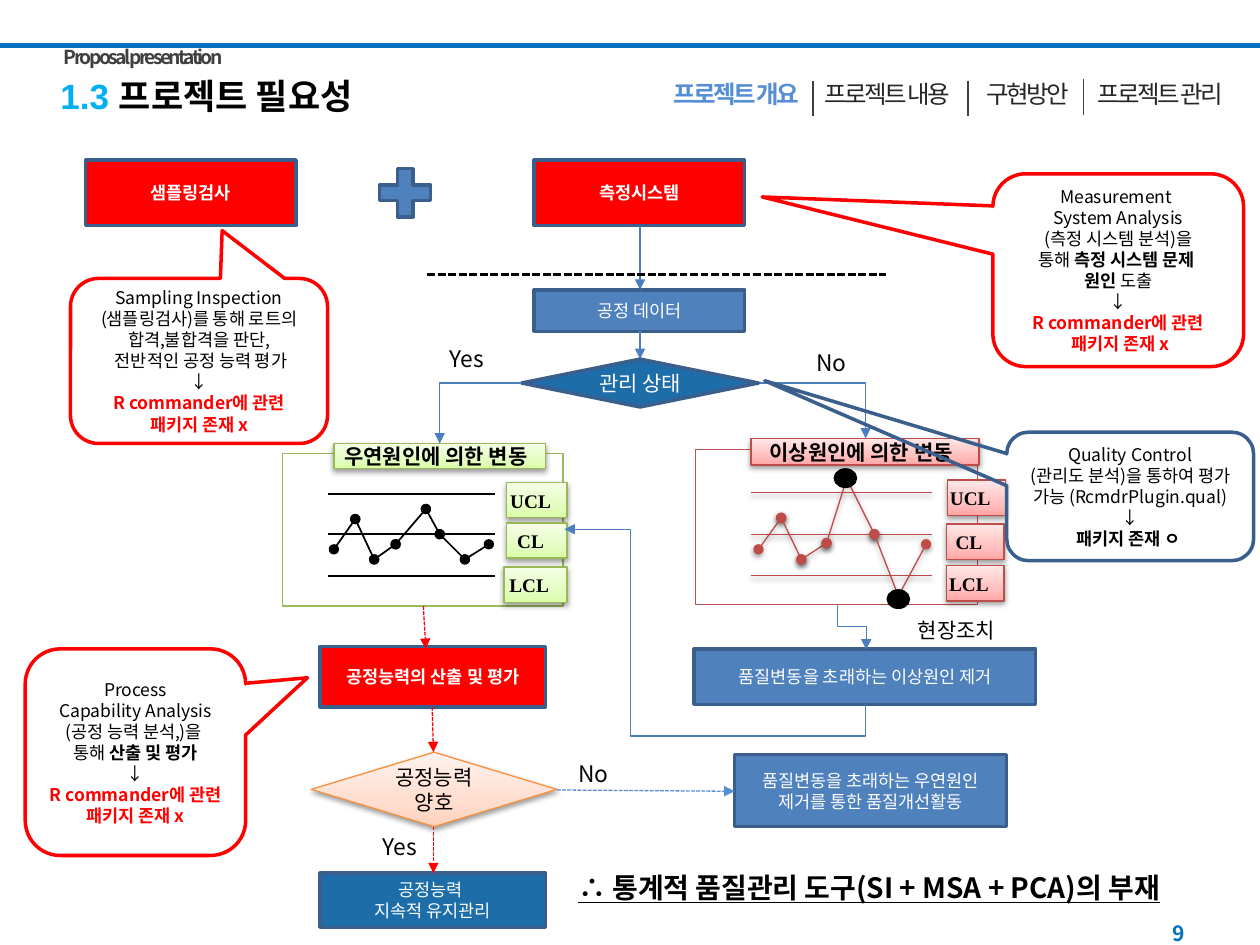
from itertools import pairwise

from pptx import Presentation
from pptx.dml.color import RGBColor
from pptx.enum.dml import MSO_LINE
from pptx.enum.shapes import MSO_CONNECTOR, MSO_SHAPE
from pptx.enum.text import MSO_ANCHOR, PP_ALIGN
from pptx.oxml import parse_xml
from pptx.oxml.ns import nsdecls, qn
from pptx.oxml.xmlchemy import OxmlElement
from pptx.util import Cm, Pt

LEFT, CENTER, RIGHT, JUSTIFY = PP_ALIGN.LEFT, PP_ALIGN.CENTER, PP_ALIGN.RIGHT, PP_ALIGN.JUSTIFY
TOP, MIDDLE = MSO_ANCHOR.TOP, MSO_ANCHOR.MIDDLE
STRAIGHT, ELBOW = MSO_CONNECTOR.STRAIGHT, MSO_CONNECTOR.ELBOW
PROCESS, DECISION = MSO_SHAPE.FLOWCHART_PROCESS, MSO_SHAPE.FLOWCHART_DECISION
RECT, OVAL, PLUS = MSO_SHAPE.RECTANGLE, MSO_SHAPE.OVAL, MSO_SHAPE.MATH_PLUS
CALLOUT = MSO_SHAPE.ROUNDED_RECTANGULAR_CALLOUT
DASH = MSO_LINE.SQUARE_DOT

KR, SERIF = "Noto Sans CJK KR", "Times New Roman"
C = {"rule": "0070C0", "sky": "00B0F0", "tab": "558ED5", "gray": "404040", "ink": "262626",
     "black": "000000", "white": "FFFFFF", "red": "FF0000", "blue": "4F81BD", "deep": "1D6DA9",
     "edge": "3A5F8C", "arrow": "4B7EBC", "orange": "F69240", "green": "98B955", "rose": "BF4C48",
     "green frame": "9BBB59", "rose frame": "C0504D"}
GRADIENTS = {"green": ("DAFDA7", "E4FCC2", "F5FFE7"), "rose": ("FFA6A5", "FFC0BF", "FFE7E7"),
             "orange": ("FFD2BD", "FFDED0", "FFF2ED")}


def inch(v):
    return Cm(v * 2.54)


def rgb(name):
    return RGBColor.from_string(C[name])


class Deck:
    """Style and current slide; positions are in inches."""

    def __init__(self, s):
        self.s = s

    def fill_text(self, tf, paras, size=10, color="black", bold=False, font=KR, al=CENTER,
                  anchor=MIDDLE, wrap=True, spc=None, underline=None, before=None):
        """A run that starts with * is bold, with ! bold and red."""
        tf.word_wrap, tf.vertical_anchor = wrap, anchor
        for i, runs in enumerate(paras):
            p = tf.add_paragraph() if i else tf.paragraphs[0]
            p.alignment = al
            if before:
                p.space_before = before
            f = p.font
            f.size, f.bold, f.name, f.underline = Pt(size), bold, font, underline
            f.color.rgb = rgb(color)
            props = p._p.pPr.find(qn("a:defRPr"))
            ea = OxmlElement("a:ea")
            ea.set("typeface", KR)
            props.append(ea)
            if spc:
                props.set("spc", str(spc))
            for text in [runs] if isinstance(runs, str) else runs:
                r = p.add_run()
                r.text = text.lstrip("*!")
                if text[0] in "*!":
                    r.font.bold = True
                if text[0] == "!":
                    r.font.color.rgb = rgb("red")

    def text(self, box, text, **style):
        tf = self.s.shapes.add_textbox(*map(inch, box)).text_frame
        self.fill_text(tf, [text], **{"al": LEFT, "anchor": TOP, **style})

    def shadow(self, sp, visible):
        effects = OxmlElement("a:effectLst")
        if visible:
            effects.append(parse_xml(
                f'<a:outerShdw {nsdecls("a")} blurRad="40000" dist="20000" dir="5400000" '
                'rotWithShape="0"><a:srgbClr val="000000"><a:alpha val="38000"/></a:srgbClr>'
                '</a:outerShdw>'))
        sp._element.spPr.append(effects)

    def shape(self, kind, box, paras=(), fill=None, line="edge", width=2, grad=None, adj=(),
              inset=False, **style):
        sp = self.s.shapes.add_shape(kind, *map(inch, box))
        for i, v in enumerate(adj):
            sp.adjustments[i] = v
        sp.line.color.rgb, sp.line.width = rgb(line), Pt(width)
        if fill:
            sp.fill.solid()
            sp.fill.fore_color.rgb = rgb(fill)
        else:
            sp.fill.background()
        if grad:
            stops = "".join(f'<a:gs pos="{pos}"><a:srgbClr val="{c}"/></a:gs>'
                            for pos, c in zip((0, 35000, 100000), GRADIENTS[grad]))
            spPr = sp._element.spPr
            spPr.replace(spPr.find(qn("a:noFill")), parse_xml(
                f'<a:gradFill {nsdecls("a")} rotWithShape="1"><a:gsLst>{stops}</a:gsLst>'
                '<a:lin ang="16200000" scaled="0"/></a:gradFill>'))
        self.shadow(sp, grad)
        if inset:
            sp.text_frame.margin_left = 0
        if paras:
            self.fill_text(sp.text_frame, paras, **style)

    def line(self, x1, y1, x2, y2, color="arrow", width=0.75, head=None, tail=None, dash=False,
             shadow=False, kind=STRAIGHT):
        c = self.s.shapes.add_connector(kind, *map(inch, (x1, y1, x2, y2)))
        c.line.color.rgb, c.line.width = rgb(color), Pt(width)
        if dash:
            c.line.dash_style = DASH
        for tag, end in (("a:headEnd", head), ("a:tailEnd", tail)):
            if end:
                e = OxmlElement(tag)
                e.set("type", end)
                c._element.spPr.find(qn("a:ln")).append(e)
        self.shadow(c, shadow)
        return c

    def elbow(self, x, y, w, h, rot, flip, bends, adj=()):
        c = self.line(x, y, x + w, y + h, tail="triangle", kind=ELBOW)
        xfrm, geom = c._element.spPr.find(qn("a:xfrm")), c._element.spPr.find(qn("a:prstGeom"))
        xfrm.set("rot", str(rot * 60000))
        if flip:
            xfrm.set(flip, "1")
        geom.set("prst", f"bentConnector{bends}")
        for i, v in enumerate(adj, 1):
            gd = OxmlElement("a:gd")
            gd.set("name", f"adj{i}")
            gd.set("fmla", f"val {round(v * 100000)}")
            geom.find(qn("a:avLst")).append(gd)

    def control_chart(self, tone, ink, width, frame, limits, points, tags, header, title):
        stroke = {"color": ink, "width": width, "shadow": ink != "black"}
        label = {"grad": tone, "line": tone, "width": 0.75, "inset": True, "bold": True,
                 "font": SERIF}
        self.shape(RECT, frame, line=f"{tone} frame", width=0.75)
        for y in limits[2:]:
            self.line(limits[0], y, limits[1], y, **stroke)
        for a, b in pairwise(points):
            self.line(*a, *b, head="oval", tail="oval", **stroke)
        for name, box in zip(("UCL", "CL", "LCL"), tags):
            self.shape(RECT, box, [name], size=11, anchor=TOP, before=Pt(5.5), **label)
        self.shape(RECT, header, [title], size=12, wrap=False, **label)


prs = Presentation()
prs.slide_width, prs.slide_height = inch(10), inch(7.5)
s = prs.slides.add_slide(prs.slide_layouts[5])
d = Deck(s)

# Header, title and section tabs
d.line(-0.02, 0.36, 10.02, 0.36, color="rule", width=3)
title = s.shapes.title
title.left, title.top, title.width, title.height = map(inch, (0.38, 0.54, 4.7, 0.44))
d.fill_text(title.text_frame, [("1.3 ", "프로젝트 필요성")], size=20, bold=True, font="Arial",
            al=LEFT, anchor=TOP)
title.text_frame.paragraphs[0].runs[0].font.color.rgb = rgb("sky")
d.text((0.41, 0.31, 2.44, 0.29), "Proposal presentation", size=11, color="gray", bold=True,
       al=JUSTIFY, spc=-150)
for i, (x, w, name) in enumerate([(5, 1.69, "프로젝트 개요"), (6.36, 1.34, " 프로젝트 내용"),
                                  (7.62, 1.07, "구현방안"), (8.56, 1.3, "프로젝트 관리")]):
    d.text((x, 0.58, w, 0.39), name, size=14, color="ink" if i else "tab", bold=not i,
           al=CENTER, wrap=not i, spc=-150)
for x, y in ((6.45, 0.64), (7.68, 0.64), (8.6, 0.63)):
    d.line(x, y, x, y + 0.28, color="gray", width=1)

# Process boxes
for box, fill, paras in [
        ((0.68, 1.27, 1.67, 0.52), "red", ["샘플링검사"]),
        ((4.24, 1.27, 1.67, 0.52), "red", ["측정시스템"]),
        ((4.24, 2.3, 1.67, 0.33), "blue", ["공정 데이터"]),
        ((2.54, 5.13, 1.79, 0.48), "red", ["공정능력의 산출 및 평가"]),
        ((5.51, 5.15, 2.71, 0.44), "blue", ["품질변동을 초래하는 이상원인 제거"]),
        ((5.83, 5.99, 2.16, 0.57), "blue", ["품질변동을 초래하는 우연원인 제거를 통한 품질개선활동"]),
        ((2.54, 6.93, 1.79, 0.43), "deep", ["공정능력 ", "지속적 유지관리"])]:
    d.shape(PROCESS, box, paras, fill=fill, color="white", bold=fill == "red")
d.shape(PLUS, (2.94, 1.27, 0.55, 0.52), fill="blue")

# Control charts
d.control_chart(
    "green", "black", 1, (2.24, 3.6, 2.23, 1.21), (2.6, 3.93, 3.92, 4.24, 4.57),
    [(2.65, 4.36), (2.82, 4.12), (2.97, 4.44), (3.14, 4.32), (3.38, 4.04), (3.49, 4.24),
     (3.69, 4.44), (3.88, 4.32)],
    [(4.02, 3.83, 0.48, 0.28), (4.02, 4.15, 0.48, 0.28), (4, 4.5, 0.5, 0.28)],
    (2.65, 3.52, 1.68, 0.2), " 우연원인에 의한 변동")
d.control_chart(
    "rose", "rose", 0.75, (5.52, 3.57, 2.24, 1.23), (5.96, 7.4, 3.91, 4.24, 4.57),
    [(6.02, 4.36), (6.2, 4.11), (6.36, 4.44), (6.56, 4.31), (6.72, 3.8), (6.94, 4.24),
     (7.13, 4.73), (7.35, 4.32)],
    [(7.52, 3.81, 0.46, 0.28), (7.51, 4.16, 0.46, 0.28), (7.51, 4.49, 0.46, 0.28)],
    (5.96, 3.48, 1.81, 0.21), " 이상원인에 의한 변동")
for x, y in ((6.63, 3.73), (7.05, 4.69)):
    d.shape(OVAL, (x, y, 0.16, 0.13), fill="black", line="black")

# Decisions and flow arrows
d.shape(DECISION, (2.47, 5.97, 1.95, 0.59), ["공정능력", "양호"], grad="orange", line="orange",
        width=0.75, size=12)
d.elbow(3.49, 3.04, 0.64, 0.48, 180, "flipV", 2)
d.elbow(6.02, 3.04, 0.85, 0.44, 0, None, 2)
d.elbow(6.58, 4.86, 0.36, 0.23, 270, "flipH", 3)
d.elbow(4.98, 3.7, 1.39, 2.39, 90, "flipH", 4, (-0.18, 0.78))
for ends in ((3.43, 5.61, 3.44, 5.97), (3.36, 4.81, 3.38, 5.15), (3.44, 6.56, 3.44, 6.93)):
    d.line(*ends, color="red", dash=True, tail="triangle")
d.line(4.42, 6.27, 5.83, 6.28, color="tab", dash=True, tail="triangle")
d.line(5.08, 1.79, 5.08, 2.3, tail="triangle")
d.line(5.08, 2.63, 5.08, 2.85, tail="triangle")
d.line(3.39, 2.18, 7.03, 2.18, color="black", width=1.5, dash=True)
d.shape(DECISION, (4.14, 2.85, 1.88, 0.38), ["관리 상태"], fill="deep", size=12, color="white")
for x, y, w, answer in ((3.47, 2.69, 0.52, "Yes"), (6.38, 2.72, 0.49, "No"),
                        (2.94, 6.56, 0.52, "Yes"), (4.49, 5.98, 0.49, "No")):
    d.text((x, y, w, 0.29), answer, size=13)
d.text((7.15, 4.85, 1.08, 0.3), " 현장조치", size=12)

# Callouts
for box, tip, line, paras in [
        ((7.99, 3.43, 1.96, 1.02), (-1.48, -0.9), "edge",
         ["Quality Control", "(관리도 분석)을 통하여 평가 가능 (RcmdrPlugin.qual)", "↓",
          "*패키지 존재 ㅇ "]),
        ((0.2, 5.15, 1.75, 1.64), (0.78, -0.36), "red",
         ["Process", "Capability Analysis", "(공정 능력 분석,)을 ", ("통해 ", "*산출 및 평가"), "↓",
          "!R commander에 관련 패키지 존재 x"]),
        ((7.88, 1.38, 1.99, 1.53), (-1.42, -0.38), "red",
         ["Measurement ", "System Analysis", "(측정 시스템 분석)을", ("통해 ", "*측정 시스템 문제 "),
          ("*원인", " 도출"), "↓", "!R commander에 관련", "! 패키지 존재 x"]),
        ((0.56, 2.21, 2.04, 1.31), (0.09, -0.79), "red",
         ["Sampling Inspection", "(샘플링검사)를 통해 로트의 합격,불합격을 판단,",
          " 전반적인 공정 능력 평가", "↓", "!R commander에 관련", "!패키지 존재 x"])]:
    d.shape(CALLOUT, box, paras, line=line, adj=(*tip, 0.17))

# Conclusion and page number
d.text((4.49, 6.86, 5.28, 0.37), "∴ 통계적 품질관리 도구(SI + MSA + PCA)의 부재", size=16, bold=True,
       underline=True)
d.text((7.17, 7.21, 2.33, 0.4), "9", size=12, color="rule", bold=True, al=RIGHT, anchor=MIDDLE)

prs.save("out.pptx")
